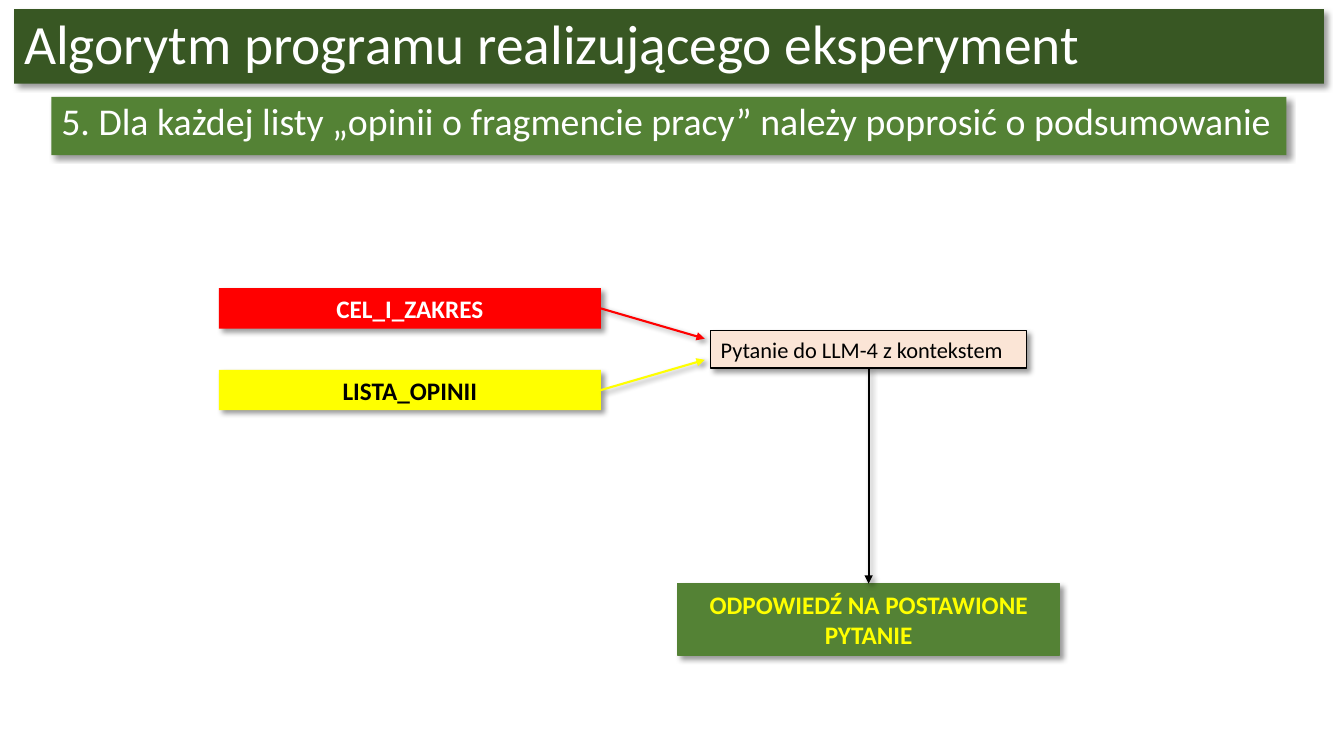
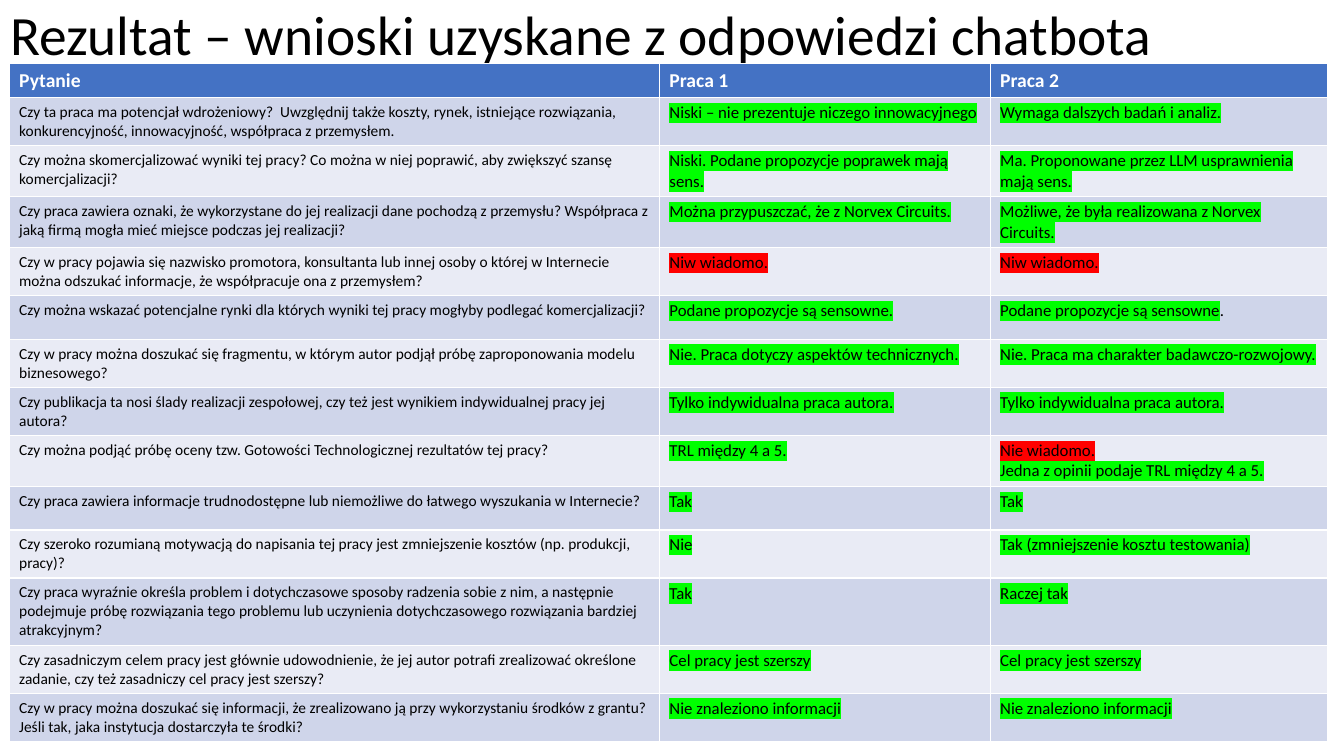
from lxml import etree
from pptx import Presentation
from pptx.dml.color import RGBColor
from pptx.enum import shapes, text
from pptx.oxml import ns
from pptx.util import Inches, Pt

FONT = "Calibri"
WHITE, BLACK, RED, YELLOW = "FFFFFF", "000000", "FF0000", "FFFF00"
DARK_GREEN, GREEN, PEACH = "385723", "548235", "FBE5D6"
HEADER_BLUE, BANDS = "4472C4", ("CFD5EA", "E9EBF5")
GOOD, BAD = "00FF00", RED
TOP, LEFT, BOTTOM, RIGHT = range(4)  # connection sites of a rectangle

FLOW_TITLE = "Algorytm programu realizującego eksperyment"
FLOW_STEP = "5. Dla każdej listy „opinii o fragmencie pracy” należy poprosić o podsumowanie"
# key: (text, left, top, width, height, fill, line, text colour, size, bold, alignment)
CENTER, START = text.PP_ALIGN.CENTER, text.PP_ALIGN.LEFT
FLOW_BOXES = {
    "scope": ("CEL_I_ZAKRES", 2.17, 2.86, 3.79, 0.4, RED, None, WHITE, 18, True, CENTER),
    "opinions": ("LISTA_OPINII", 2.17, 3.67, 3.79, 0.4, YELLOW, None, BLACK, 18, True, CENTER),
    "question": ("Pytanie do LLM-4 z kontekstem", 7.05, 3.28, 3.13, 0.37,
                 PEACH, BLACK, BLACK, 16, False, START),
    "answer": ("ODPOWIEDŹ NA POSTAWIONE PYTANIE", 6.72, 5.79, 3.79, 0.71,
               GREEN, GREEN, YELLOW, 18, True, CENTER),
}
# source box, its site, colour, end point
FLOW_ARROWS = [
    ("scope", RIGHT, RED, (6.99, 3.36)),
    ("opinions", RIGHT, YELLOW, (6.99, 3.57)),
    ("question", BOTTOM, BLACK, (8.61, 5.79)),
]

RESULT_TITLE = "Rezultat – wnioski uzyskane z odpowiedzi chatbota"
COLUMN_WIDTHS = (6.45, 3.28, 3.35)
HEADER = ("Pytanie", "Praca 1", "Praca 2")
# An answer is a string (highlighted as good) or a list of (text, highlight) runs.
UNKNOWN = [("Niw wiadomo.", BAD)]
RESULTS = [
    ("Czy ta praca ma potencjał wdrożeniowy?  Uwzględnij także koszty, rynek, istniejące "
     "rozwiązania, konkurencyjność, innowacyjność, współpraca z przemysłem.",
     "Niski – nie prezentuje niczego innowacyjnego", "Wymaga dalszych badań i analiz."),
    ("Czy można skomercjalizować wyniki tej pracy? Co można w niej poprawić, aby zwiększyć "
     "szansę komercjalizacji?",
     "Niski. Podane propozycje poprawek mają sens.",
     "Ma. Proponowane przez LLM usprawnienia mają sens."),
    ("Czy praca zawiera oznaki, że wykorzystane do jej realizacji dane pochodzą z przemysłu? "
     "Współpraca z jaką firmą mogła mieć miejsce podczas jej realizacji?",
     "Można przypuszczać, że z Norvex Circuits.",
     "Możliwe, że była realizowana z Norvex Circuits."),
    ("Czy w pracy pojawia się nazwisko promotora, konsultanta lub innej osoby o której w "
     "Internecie można odszukać informacje, że współpracuje ona z przemysłem?",
     UNKNOWN, UNKNOWN),
    ("Czy można wskazać potencjalne rynki dla których wyniki tej pracy mogłyby podlegać "
     "komercjalizacji?",
     "Podane propozycje są sensowne.",
     [("Podane propozycje są sensowne", GOOD), (".", None)]),
    ("Czy w pracy można doszukać się fragmentu, w którym autor podjął próbę zaproponowania "
     "modelu biznesowego?",
     "Nie. Praca dotyczy aspektów technicznych.",
     "Nie. Praca ma charakter badawczo-rozwojowy."),
    ("Czy publikacja ta nosi ślady realizacji zespołowej, czy też jest wynikiem indywidualnej "
     "pracy jej autora?",
     "Tylko indywidualna praca autora.", "Tylko indywidualna praca autora."),
    ("Czy można podjąć próbę oceny tzw. Gotowości Technologicznej rezultatów tej pracy?",
     "TRL między 4 a 5.",
     [("Nie wiadomo.\n", BAD), ("Jedna z opinii podaje TRL między 4 a 5.", GOOD)]),
    ("Czy praca zawiera informacje trudnodostępne lub niemożliwe do łatwego wyszukania w "
     "Internecie?", "Tak", "Tak"),
    ("Czy szeroko rozumianą motywacją do napisania tej pracy jest zmniejszenie kosztów "
     "(np. produkcji, pracy)?", "Nie", "Tak (zmniejszenie kosztu testowania)"),
    ("Czy praca wyraźnie określa problem i dotychczasowe sposoby radzenia sobie z nim, a "
     "następnie podejmuje próbę rozwiązania tego problemu lub uczynienia dotychczasowego "
     "rozwiązania bardziej atrakcyjnym?", "Tak", "Raczej tak"),
    ("Czy zasadniczym celem pracy jest głównie udowodnienie, że jej autor potrafi zrealizować "
     "określone zadanie, czy też zasadniczy cel pracy jest szerszy?",
     "Cel pracy jest szerszy", "Cel pracy jest szerszy"),
    ("Czy w pracy można doszukać się informacji, że zrealizowano ją przy wykorzystaniu środków "
     "z grantu? Jeśli tak, jaka instytucja dostarczyła te środki?",
     "Nie znaleziono informacji", "Nie znaleziono informacji"),
]
ROW_HEIGHTS = [0.3] + [0.43] * 10 + [0.59, 0.43, 0.35]


def rgb(color):
    return RGBColor.from_string(color)


def paint(shape, color):
    shape.fill.solid()
    shape.fill.fore_color.rgb = rgb(color)


def add_child(parent, tag, **attributes):
    return etree.SubElement(parent, ns.qn(tag), attributes)


def add_shadow(shape):
    effects = add_child(shape._element.spPr, "a:effectLst")
    shadow = add_child(effects, "a:outerShdw", blurRad=str(Pt(4)), dist=str(Pt(3)),
                       dir="2700000", algn="tl", rotWithShape="0")
    color = add_child(shadow, "a:srgbClr", val=BLACK)
    add_child(color, "a:alpha", val="40000")


def add_run(paragraph, words, size, color, bold=False, highlight=None):
    """Add a formatted run; a trailing newline becomes a line break."""
    run = paragraph.add_run()
    run.text = words.rstrip("\n")
    run.font.size, run.font.bold = Pt(size), bold
    run.font.color.rgb = rgb(color)
    if highlight:
        mark = add_child(run.font._element, "a:highlight")
        add_child(mark, "a:srgbClr", val=highlight)
    run.font.name = FONT
    if words.endswith("\n"):
        paragraph.add_line_break()


def write(shape, words, size, color, bold=False, alignment=START, spacing=None):
    frame = shape.text_frame
    frame.word_wrap = True
    frame.auto_size = text.MSO_AUTO_SIZE.NONE
    frame.vertical_anchor = text.MSO_ANCHOR.MIDDLE
    paragraph = frame.paragraphs[0]
    paragraph.alignment, paragraph.line_spacing = alignment, spacing
    add_run(paragraph, words, size, color, bold)


def add_titled_slide(presentation, title, place, color, band=None):
    slide = presentation.slides.add_slide(presentation.slide_layouts[5])
    shape = slide.shapes.title
    shape.left, shape.top, shape.width, shape.height = map(Inches, place)
    if band:
        paint(shape, band)
        add_shadow(shape)
    write(shape, title, 39.6, color, spacing=0.9)
    return slide


def add_box(slide, words, left, top, width, height, fill, line, color, size,
            bold=False, alignment=START, spacing=None):
    box = slide.shapes.add_shape(shapes.MSO_SHAPE.RECTANGLE,
                                 *map(Inches, (left, top, width, height)))
    paint(box, fill)
    if line:
        box.line.color.rgb, box.line.width = rgb(line), Pt(1)
    else:
        box.line.fill.background()
    add_shadow(box)
    write(box, words, size, color, bold, alignment, spacing)
    return box


def add_arrow(slide, source, site, color, end):
    end_x, end_y = map(Inches, end)
    arrow = slide.shapes.add_connector(shapes.MSO_CONNECTOR.STRAIGHT, 0, 0, end_x, end_y)
    arrow.begin_connect(source, site)
    arrow.line.color.rgb, arrow.line.width = rgb(color), Pt(1.5)
    add_child(arrow.line._get_or_add_ln(), "a:tailEnd", type="triangle")
    add_shadow(arrow)
    return arrow


def build_flow(presentation):
    slide = add_titled_slide(presentation, FLOW_TITLE, (0.14, 0.09, 12.99, 0.74),
                             WHITE, DARK_GREEN)
    add_box(slide, FLOW_STEP, 0.51, 0.96, 12.25, 0.58, GREEN, None, WHITE, 27, spacing=0.7)
    boxes = {key: add_box(slide, *box) for key, box in FLOW_BOXES.items()}
    for source, site, color, end in FLOW_ARROWS:
        arrow = add_arrow(slide, boxes[source], site, color, end)
        if source == "question":
            arrow.end_connect(boxes["answer"], TOP)


def build_results(presentation):
    slide = add_titled_slide(presentation, RESULT_TITLE, (0, 0, 11.95, 0.74), BLACK)
    table = slide.shapes.add_table(
        len(RESULTS) + 1, len(HEADER), Inches(0.09), Inches(0.63),
        Inches(sum(COLUMN_WIDTHS)), Inches(sum(ROW_HEIGHTS))).table
    for column, width in zip(table.columns, COLUMN_WIDTHS):
        column.width = Inches(width)
    for row, height in zip(table.rows, ROW_HEIGHTS):
        row.height = Inches(height)

    for column, heading in enumerate(HEADER):
        cell = table.cell(0, column)
        paint(cell, HEADER_BLUE)
        add_run(cell.text_frame.paragraphs[0], heading, 14, WHITE, bold=True)
    for row, (question, *answers) in enumerate(RESULTS, 1):
        for column, content in enumerate([[(question, None)], *answers]):
            cell = table.cell(row, column)
            paint(cell, BANDS[(row - 1) % 2])
            runs = [(content, GOOD)] if isinstance(content, str) else content
            for words, highlight in runs:
                add_run(cell.text_frame.paragraphs[0], words, 12 if column else 11,
                        BLACK, highlight=highlight)


def main():
    presentation = Presentation()
    presentation.slide_width, presentation.slide_height = Inches(13.33), Inches(7.5)
    build_flow(presentation)
    build_results(presentation)
    presentation.save("out.pptx")


if __name__ == "__main__":
    main()
